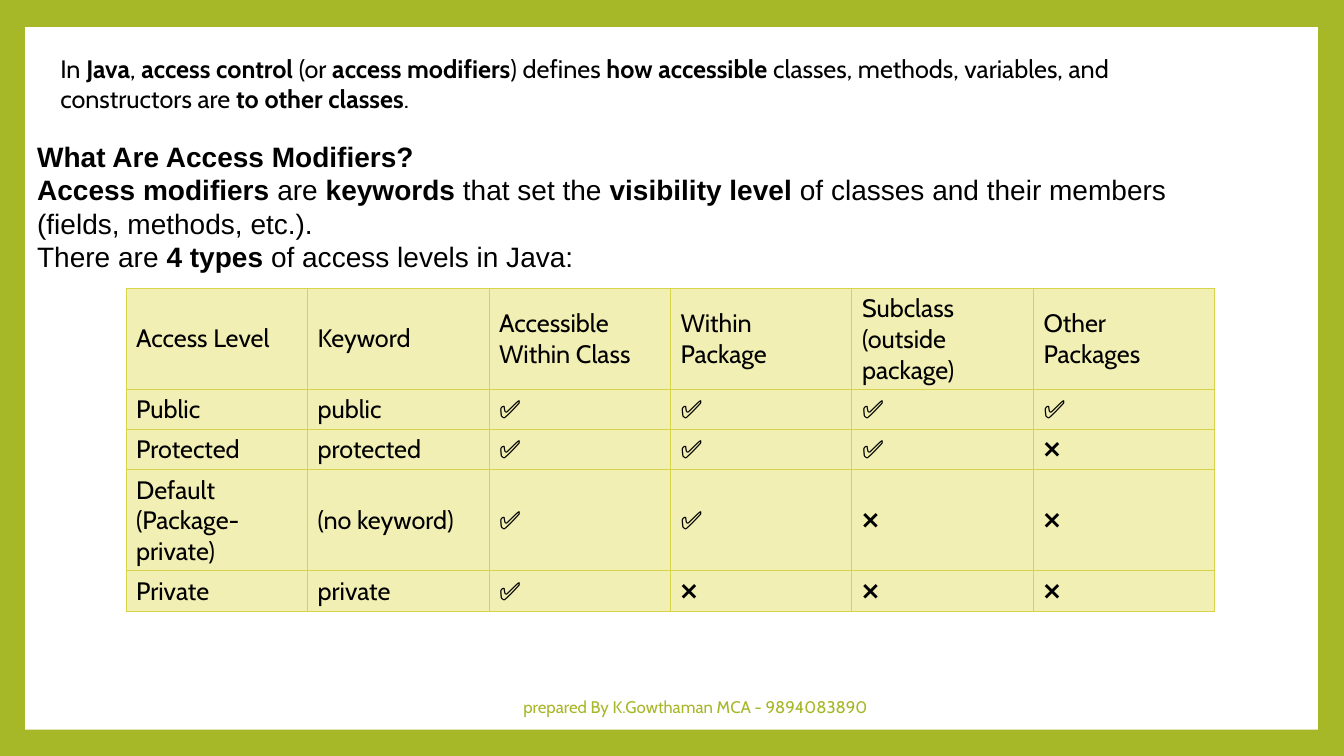
from dataclasses import dataclass

from lxml import etree
from pptx import Presentation
from pptx.dml.color import RGBColor
from pptx.enum import shapes, text
from pptx.oxml.ns import qn
from pptx.util import Inches, Pt

# Content: ** switches bold on and off
INTRO = [
    "In **Java**, **access control** (or **access modifiers**) defines **how accessible** "
    "classes, methods, variables, and constructors are **to other classes**.",
]
EXPLANATION = [
    "**What Are Access Modifiers?**",
    "**Access modifiers** are **keywords** that set the **visibility level** of classes and their members",
    "(fields, methods, etc.).",
    "There are **4 types** of access levels in Java:",
]
HEADINGS = ["Access Level", "Keyword", "Accessible Within Class", "Within Package",
            "Subclass (outside package)", "Other Packages"]
# Level, keyword, number of scopes that have access, row height
LEVELS = [
    ("Public", "public", 4, 0.4),
    ("Protected", "protected", 3, 0.4),
    ("Default (Package-private)", "(no keyword)", 2, 1),
    ("Private", "private", 1, 0.4),
]
SCOPES = 4
HEADING_HEIGHT = 1
COLUMN_WIDTH = 1.8
CREDIT = ["prepared By K.Gowthaman MCA - 9894083890"]


@dataclass(frozen=True)
class Theme:
    green: str = "A6B727"
    white: str = "FFFFFF"
    ink: str = "000000"
    cell: str = "F1EFB3"
    border: str = "D7D447"
    body_font: str = "Cabin"
    explanation_font: str = "Arial"
    body_size: float = 18
    explanation_size: float = 20
    credit_size: float = 12
    border_width: float = 0.79


THEME = Theme()


def paint(fill, color):
    fill.solid()
    fill.fore_color.rgb = RGBColor.from_string(color)


def write(frame, lines, size=THEME.body_size, font=THEME.body_font, color=THEME.ink, align=None):
    frame.word_wrap = True
    for index, line in enumerate(lines):
        paragraph = frame.paragraphs[0] if index == 0 else frame.add_paragraph()
        paragraph.alignment = align
        for position, words in enumerate(line.split("**")):
            if words:
                run = paragraph.add_run()
                run.text = words
                run.font.bold = position % 2 == 1
                run.font.size = Pt(size)
                run.font.name = font
                run.font.color.rgb = RGBColor.from_string(color)


def add_text(slide, box, lines, anchor=text.MSO_ANCHOR.TOP, **style):
    frame = slide.shapes.add_textbox(*map(Inches, box)).text_frame
    frame.vertical_anchor = anchor
    write(frame, lines, **style)


def add_borders(cell):
    properties = cell._tc.get_or_add_tcPr()
    for index, side in enumerate(("a:lnL", "a:lnR", "a:lnT", "a:lnB")):
        line = etree.Element(qn(side), w=str(Pt(THEME.border_width)))
        fill = etree.SubElement(line, qn("a:solidFill"))
        etree.SubElement(fill, qn("a:srgbClr"), val=THEME.border)
        properties.insert(index, line)


def add_access_table(slide):
    rows = [HEADINGS] + [
        [level, keyword] + ["✅"] * allowed + ["❌"] * (SCOPES - allowed)
        for level, keyword, allowed, _ in LEVELS
    ]
    heights = [HEADING_HEIGHT] + [height for *_, height in LEVELS]
    table = slide.shapes.add_table(
        len(rows), len(HEADINGS), Inches(1.25), Inches(2.86),
        Inches(COLUMN_WIDTH * len(HEADINGS)), Inches(sum(heights))).table
    table.first_row = table.horz_banding = False
    for column in table.columns:
        column.width = Inches(COLUMN_WIDTH)
    for row, height, values in zip(table.rows, heights, rows):
        row.height = Inches(height)
        for cell, value in zip(row.cells, values):
            cell.vertical_anchor = text.MSO_ANCHOR.MIDDLE
            paint(cell.fill, THEME.cell)
            add_borders(cell)
            write(cell.text_frame, [value])


def main():
    deck = Presentation()
    deck.slide_width, deck.slide_height = Inches(13.33), Inches(7.5)
    slide = deck.slides.add_slide(deck.slide_layouts[6])

    # Green frame around a white panel
    paint(slide.background.fill, THEME.green)
    panel = slide.shapes.add_shape(
        shapes.MSO_SHAPE.RECTANGLE, *map(Inches, (0.25, 0.27, 12.82, 6.97)))
    panel.shadow.inherit = False
    paint(panel.fill, THEME.white)
    panel.line.fill.background()

    # Introduction, table, explanation and credit
    add_text(slide, (0.5, 0.48, 11.8, 0.71), INTRO)
    add_access_table(slide)
    add_text(slide, (0.27, 1.33, 11.54, 1.78), EXPLANATION,
             size=THEME.explanation_size, font=THEME.explanation_font)
    add_text(slide, (4.32, 6.81, 5.16, 0.4), CREDIT, anchor=text.MSO_ANCHOR.MIDDLE,
             size=THEME.credit_size, color=THEME.green, align=text.PP_ALIGN.CENTER)

    deck.save("out.pptx")


if __name__ == "__main__":
    main()
